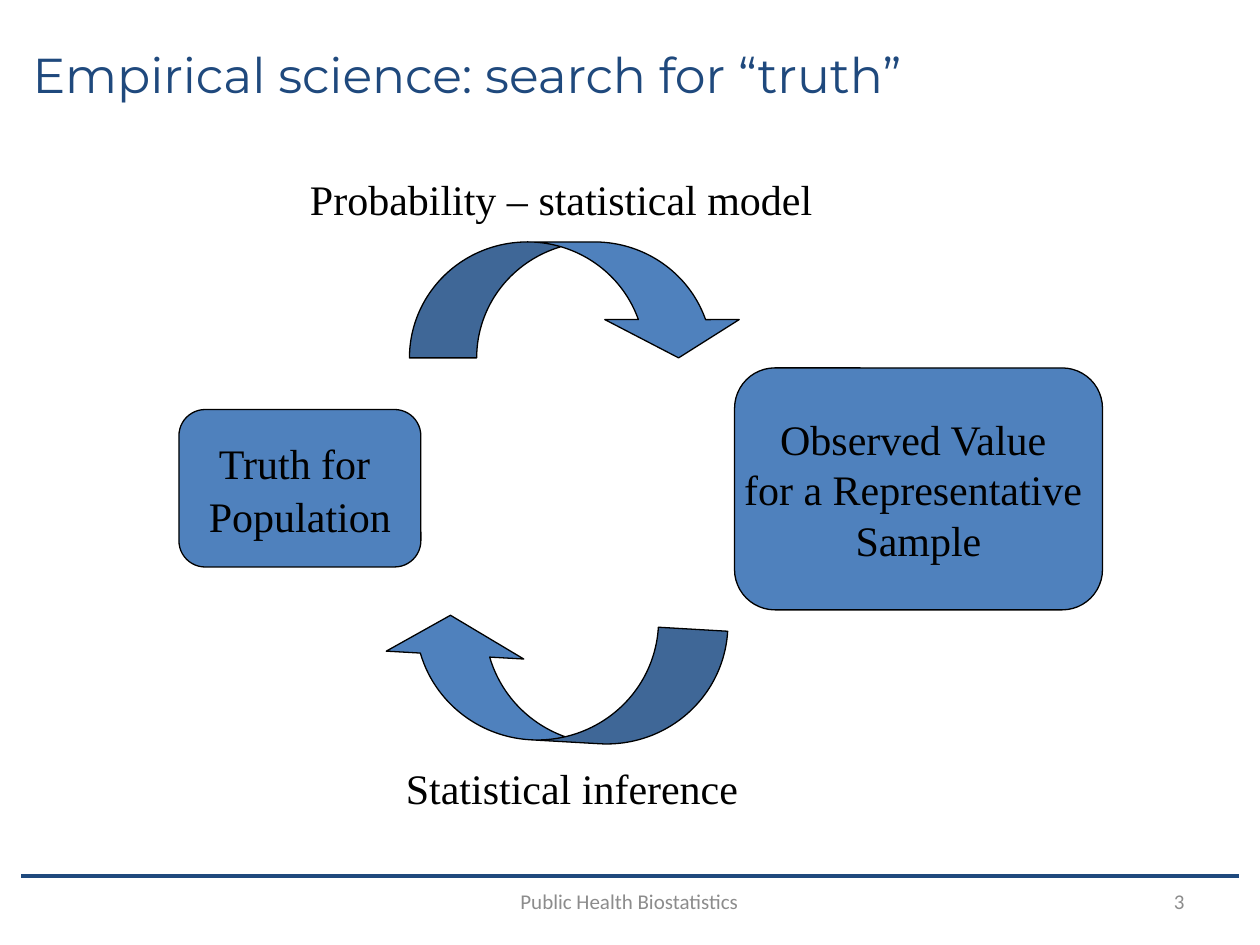
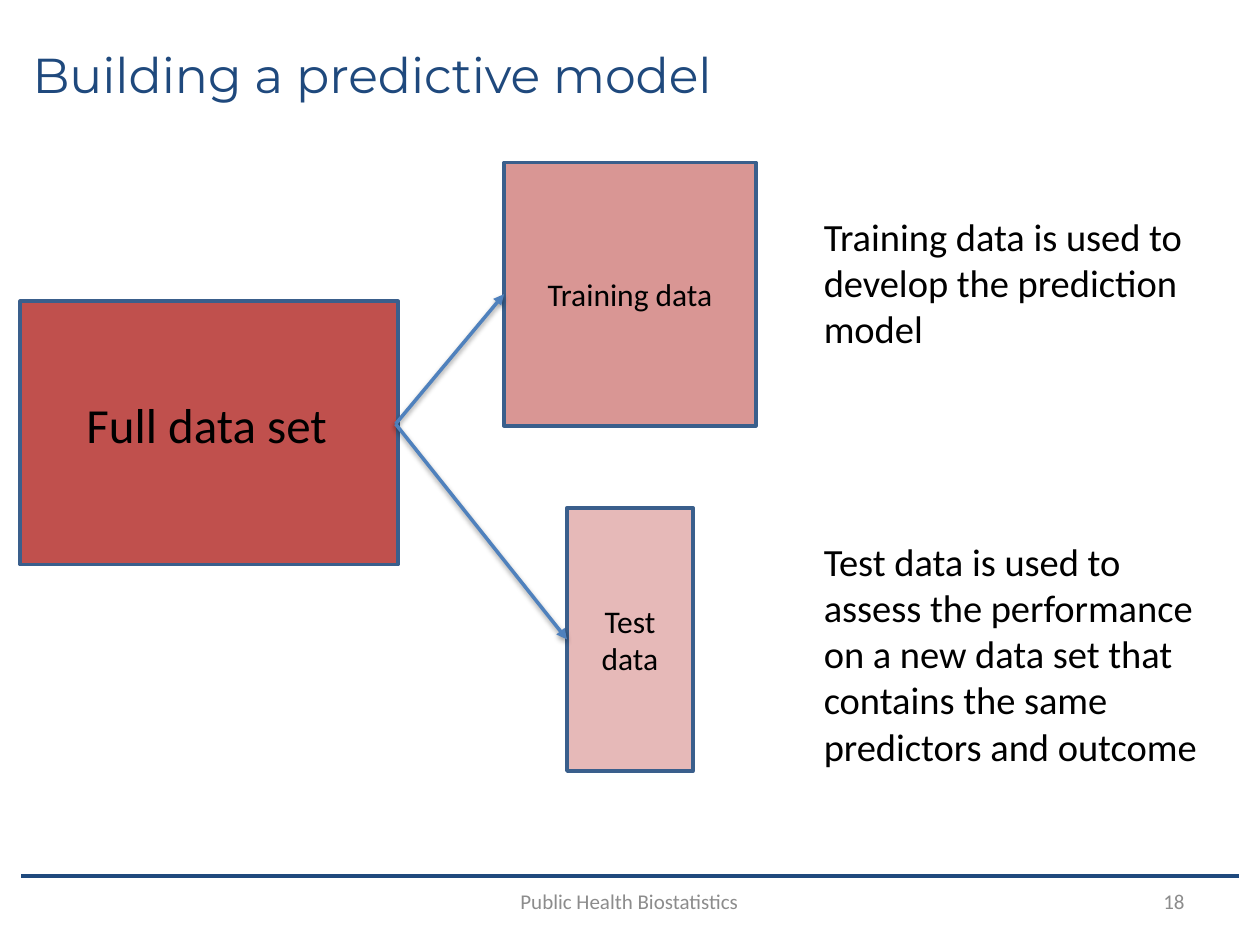
from lxml import etree
from pptx import Presentation
from pptx.dml.color import RGBColor
from pptx.enum.shapes import MSO_CONNECTOR as Connector, MSO_SHAPE as Shape
from pptx.enum.text import MSO_ANCHOR as Anchor, PP_ALIGN as Align
from pptx.oxml import parse_xml
from pptx.oxml.ns import nsdecls, qn
from pptx.util import Inches, Pt

# Shared look
NAVY, BLUE, OUTLINE = "1F497D", "4F81BD", "3A5F8C"
RED, ROSE, PINK = "C0504D", "D99694", "E6B9B8"
BLACK, GREY = "000000", "8C8C8C"
SERIF, SANS, TITLE_FONT = "Times New Roman", "Calibri", "Montserrat"

TITLE = dict(name=TITLE_FONT, size=Pt(28), color=NAVY)
FOOTER = dict(name=SANS, size=Pt(12), color=GREY)
CYCLE = dict(name=SERIF, size=Pt(24), color=BLACK)
FULL_SET = dict(name=SANS, size=Pt(28), color=BLACK)
SUBSET = dict(name=SANS, size=Pt(18), color=BLACK)
NOTE = dict(name=SANS, size=Pt(22), color=BLACK)

SOFT_SHADOW = (
    f'<a:effectLst {nsdecls("a")}><a:outerShdw blurRad="{Pt(3.1)}" dist="{Pt(1.6)}" '
    'dir="5400000" rotWithShape="0"><a:srgbClr val="000000"><a:alpha val="38000"/>'
    '</a:srgbClr></a:outerShdw></a:effectLst>'
)
NO_SHADOW = f'<a:effectLst {nsdecls("a")}/>'


def rgb(color):
    return RGBColor.from_string(color)


def write(shape, lines, style, align=Align.LEFT, anchor=Anchor.TOP, wrap=True, spacing=1.0):
    """Put one paragraph per line into a shape's text frame."""
    frame = shape.text_frame
    frame.word_wrap = wrap
    frame.vertical_anchor = anchor
    frame.text = "\n".join(lines)
    for paragraph in frame.paragraphs:
        paragraph.alignment = align
        paragraph.line_spacing = spacing
        for key, value in style.items():
            if key == "color":
                paragraph.font.color.rgb = rgb(value)
            else:
                setattr(paragraph.font, key, value)


def add_text(slide, box, text, style, **layout):
    shape = slide.shapes.add_textbox(*map(Inches, box))
    write(shape, [text], style, **layout)
    return shape


def add_block(slide, kind, box, fill, line, width):
    shape = slide.shapes.add_shape(kind, *map(Inches, box))
    shape.shadow.inherit = False
    shape.fill.solid()
    shape.fill.fore_color.rgb = rgb(fill)
    shape.line.color.rgb = rgb(line)
    shape.line.width = Pt(width)
    return shape


def add_line(slide, start, end, color, width, effects=NO_SHADOW):
    line = slide.shapes.add_connector(Connector.STRAIGHT, *map(Inches, start + end))
    line.line.color.rgb = rgb(color)
    line.line.width = Pt(width)
    line._element.spPr.append(parse_xml(effects))
    return line


def add_split_arrow(slide, source, target):
    """Arrow from the right side of source to the left side of target."""
    arrow = add_line(slide, (0, 0), (1, 1), BLUE, 2, SOFT_SHADOW)
    arrow.begin_connect(source, 3)
    arrow.end_connect(target, 1)
    etree.SubElement(arrow.line._get_or_add_ln(), qn("a:tailEnd"), type="triangle")


def add_cycle_box(slide, box, lines, spacing=1.0):
    shape = add_block(slide, Shape.FLOWCHART_ALTERNATE_PROCESS, box, BLUE, BLACK, 0.75)
    write(shape, lines, CYCLE, Align.CENTER, Anchor.MIDDLE, wrap=False, spacing=spacing)


def add_cycle_arrow(slide, kind, box, adjustments, rotation=0):
    arrow = add_block(slide, kind, box, BLUE, BLACK, 0.75)
    for index, value in enumerate(adjustments):
        arrow.adjustments[index] = value
    arrow.rotation = rotation


def add_subset_box(slide, box, fill, text):
    shape = add_block(slide, Shape.RECTANGLE, box, fill, OUTLINE, 2)
    write(shape, [text], SUBSET, Align.CENTER, Anchor.MIDDLE)
    return shape


def new_slide(presentation, title, number):
    """Blank slide with the shared title, rule and footer."""
    slide = presentation.slides.add_slide(presentation.slide_layouts[6])
    add_line(slide, (0.17, 6.95), (9.83, 6.95), NAVY, 2.5)
    add_text(slide, (0.16, 0.14, 9.62, 0.9), title, TITLE, anchor=Anchor.MIDDLE)
    add_text(slide, (2.83, 6.95, 4.33, 0.4), "Public Health Biostatistics", FOOTER,
             align=Align.CENTER, anchor=Anchor.MIDDLE)
    add_text(slide, (7.17, 6.95, 2.33, 0.4), str(number), FOOTER,
             align=Align.RIGHT, anchor=Anchor.MIDDLE)
    return slide


def build_truth_slide(presentation):
    slide = new_slide(presentation, "Empirical science: search for “truth”", 3)
    # Population and sample
    add_cycle_box(slide, (1.42, 3.25, 1.92, 1.25), ["Truth for ", "Population"], spacing=1.05)
    add_cycle_box(slide, (5.83, 2.92, 2.92, 1.92),
                  ["Observed Value ", "for a Representative ", "Sample"])
    # Arrows between them
    add_cycle_arrow(slide, Shape.CURVED_DOWN_ARROW, (3.25, 1.92, 2.67, 0.92),
                    (0.58, 1.16, 0.33))
    add_cycle_arrow(slide, Shape.CURVED_LEFT_ARROW, (3.9, 4.03, 0.95, 2.75),
                    (0.58, 1.15, 0.33), rotation=93.3)
    # Arrow labels
    add_text(slide, (2.33, 1.33, 4.25, 0.5), "Probability – statistical model", CYCLE,
             align=Align.CENTER)
    add_text(slide, (2.83, 6, 3.42, 0.5), "Statistical inference", CYCLE, align=Align.CENTER)


def build_model_slide(presentation):
    slide = new_slide(presentation, "Building a predictive model", 18)
    # Full data and its two parts
    add_block(slide, Shape.RECTANGLE, (0.16, 2.39, 3, 2.09), RED, OUTLINE, 2)
    full_label = add_text(slide, (0.14, 3.08, 3, 0.57), "Full data set", FULL_SET,
                          align=Align.CENTER)
    training = add_subset_box(slide, (4, 1.29, 2, 2.09), ROSE, "Training data")
    test = add_subset_box(slide, (4.5, 4.03, 1, 2.09), PINK, "Test data")
    for subset in (training, test):
        add_split_arrow(slide, full_label, subset)
    # Explanations
    add_text(slide, (6.44, 1.64, 3.06, 1.37),
             "Training data is used to develop the prediction model", NOTE)
    add_text(slide, (6.44, 4.22, 3.34, 1.83),
             "Test data is used to assess the performance on a new data set that "
             "contains the same predictors and outcome", NOTE)


def main():
    presentation = Presentation()
    presentation.slide_width, presentation.slide_height = Inches(10), Inches(7.5)
    build_truth_slide(presentation)
    build_model_slide(presentation)
    presentation.save("out.pptx")


if __name__ == "__main__":
    main()
